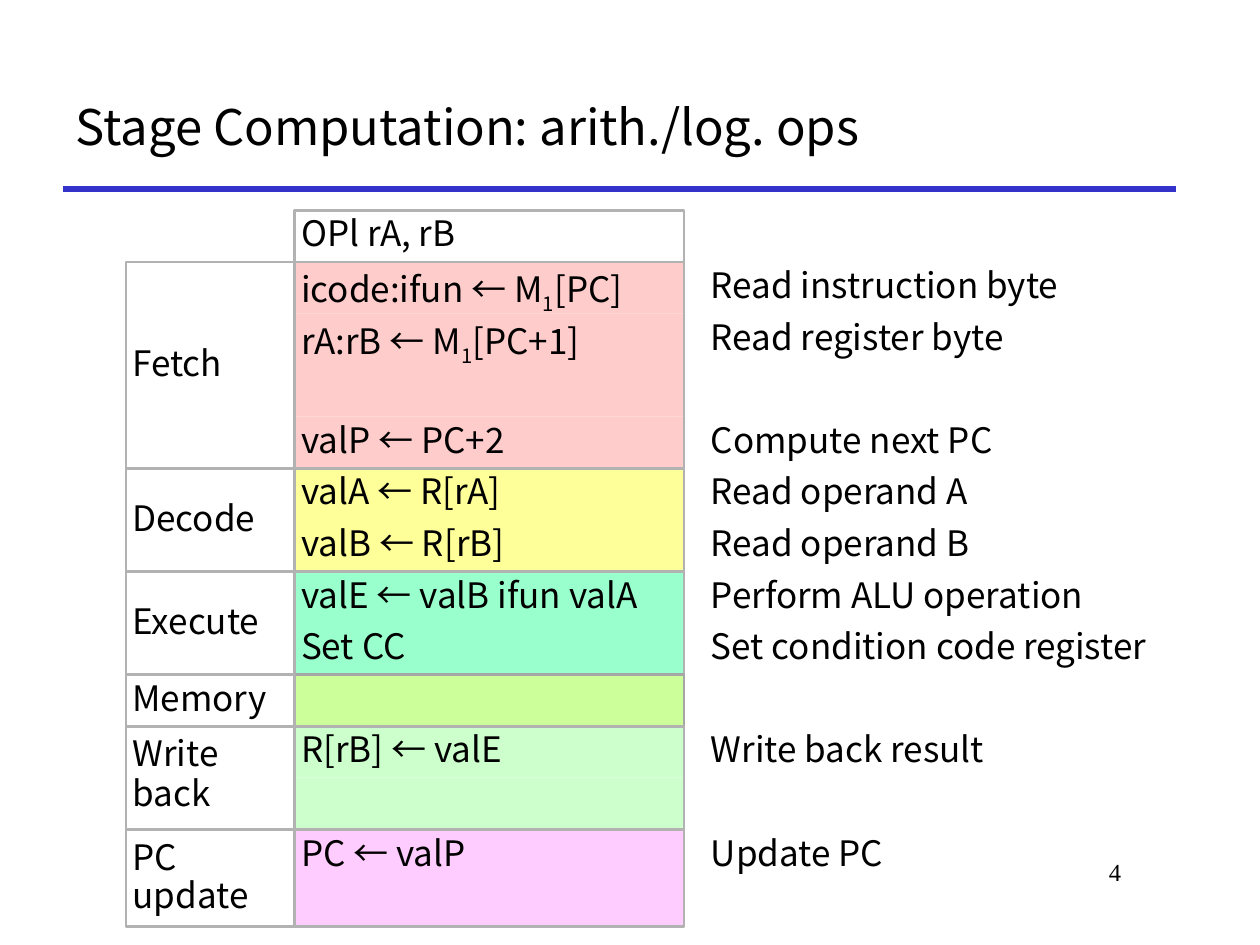
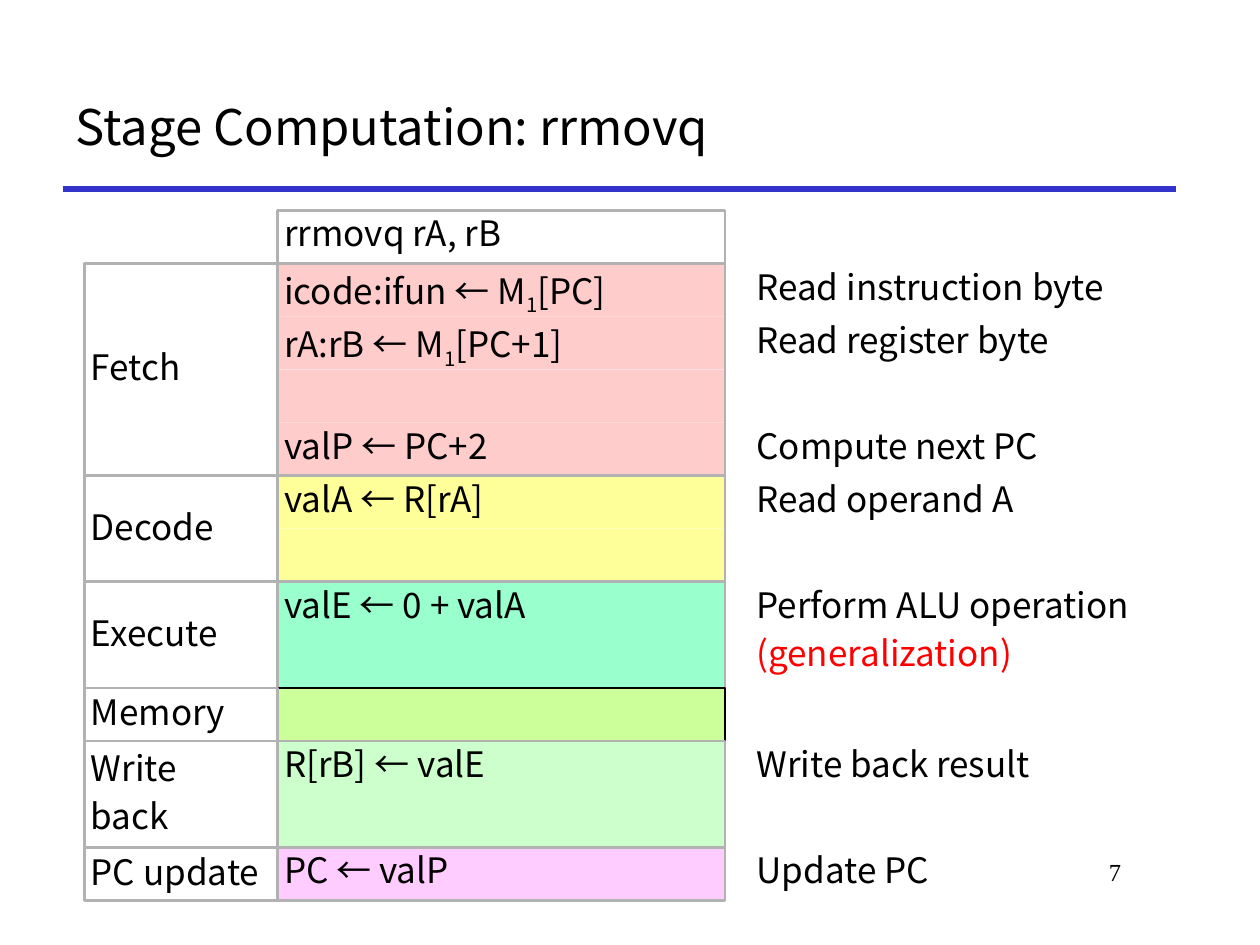
"""Build two slides that tabulate the stage computation of processor instructions."""
from dataclasses import dataclass

from lxml import etree
from pptx import Presentation
from pptx import util as u
from pptx.dml.color import RGBColor
from pptx.enum import shapes, text
from pptx.oxml.ns import qn

SANS = "Noto Sans CJK KR"
SERIF = "Times New Roman"
BLACK, RED, BLUE, GREY = "000000", "FF0000", "3333CC", "B2B2B2"
TITLE_ONLY = 5
TABLE_TOP = 4.24


@dataclass
class Grid:
    """Column and row measures of a stage table, in centimetres."""
    left: float
    label_width: float
    step_width: float
    gap: float
    row: float

    @property
    def step_left(self):
        """Left edge of the computation column."""
        return self.left + self.label_width

    @property
    def note_left(self):
        """Left edge of the explanation column."""
        return self.step_left + self.step_width + self.gap


@dataclass
class Stage:
    """One processor stage; a step or note of None leaves its row empty."""
    name: str
    fill: str
    steps: tuple
    notes: tuple = ()
    border: str = GREY
    height: float = 0
    note_width: float = 0
    label_spacing: float = 0.9


def color(value):
    """Turn a hex string into a colour."""
    return RGBColor.from_string(value)


def style(paragraph, size, face=SANS, ink=BLACK):
    """Set the font of a whole paragraph, arrows included."""
    font = paragraph.font
    font.size, font.name = u.Pt(size), face
    font.color.rgb = color(ink)
    defaults = paragraph._p.pPr.find(qn("a:defRPr"))
    etree.SubElement(defaults, qn("a:ea")).set("typeface", face)


def write(frame, content, spacing=0.9, anchor=text.MSO_ANCHOR.TOP):
    """Fill a table frame with lines; text between bars is subscript, a leading * is red."""
    frame.word_wrap = True
    frame.vertical_anchor = anchor
    frame.margin_left = frame.margin_right = u.Cm(0.13)
    frame.margin_top = frame.margin_bottom = u.Cm(0.13)
    for number, line in enumerate(content.split("\n")):
        paragraph = frame.add_paragraph() if number else frame.paragraphs[0]
        paragraph.alignment = text.PP_ALIGN.LEFT
        paragraph.line_spacing = spacing
        if number:
            paragraph.space_before = u.Pt(6)
        style(paragraph, 20, ink=RED if line.startswith("*") else BLACK)
        for part, words in enumerate(line.lstrip("*").split("|")):
            run = paragraph.add_run()
            run.text = words
            if part % 2:
                run._r.get_or_add_rPr().set("baseline", "-25000")


def cell(slide, box, content=None, fill=None, border=None, **layout):
    """Draw one rectangle of the table."""
    rect = slide.shapes.add_shape(shapes.MSO_SHAPE.RECTANGLE, *map(u.Cm, box))
    rect.shadow.inherit = False
    if fill:
        rect.fill.solid()
        rect.fill.fore_color.rgb = color(fill)
    else:
        rect.fill.background()
    if border:
        rect.line.color.rgb = color(border)
        rect.line.width = u.Pt(1.5)
    else:
        rect.line.fill.background()
    if content:
        write(rect.text_frame, content, **layout)


def draw_stage(slide, grid, top, stage):
    """Draw a stage from the given top and return its bottom."""
    height = stage.height or grid.row * len(stage.steps)
    whole = (grid.step_left, top, grid.step_width, height)
    if len(stage.steps) == 1:
        cell(slide, whole, stage.steps[0], stage.fill, stage.border)
    else:
        for row, step in enumerate(stage.steps):
            strip = (grid.step_left, top + row * grid.row, grid.step_width, grid.row)
            cell(slide, strip, step, stage.fill)
        cell(slide, whole, border=stage.border)
    cell(slide, (grid.left, top, grid.label_width, height), stage.name, border=GREY,
         spacing=stage.label_spacing, anchor=text.MSO_ANCHOR.MIDDLE)
    for row, note in enumerate(stage.notes):
        if note:
            box = (grid.note_left, top + row * grid.row,
                   stage.note_width or grid.step_width, grid.row)
            write(slide.shapes.add_textbox(*map(u.Cm, box)).text_frame, note)
    return top + height


def draw_table(slide, grid, instruction, stages):
    """Draw the instruction heading and its stages below one another."""
    cell(slide, (grid.step_left, TABLE_TOP, grid.step_width, grid.row),
         instruction, border=GREY)
    top = TABLE_TOP + grid.row
    for stage in stages:
        top = draw_stage(slide, grid, top, stage)


def draw_frame(slide, heading, number):
    """Set the title, the rule under it and the page number."""
    title = slide.shapes.title
    title.left, title.top, title.width, title.height = map(u.Cm, (1.27, 1.27, 22.43, 2.54))
    title.text_frame.text = heading
    title.text_frame.vertical_anchor = text.MSO_ANCHOR.MIDDLE
    paragraph = title.text_frame.paragraphs[0]
    paragraph.alignment = text.PP_ALIGN.LEFT
    style(paragraph, 28)

    rule = slide.shapes.add_connector(shapes.MSO_CONNECTOR.STRAIGHT,
                                      *map(u.Cm, (1.27, 3.81, 23.7, 3.81)))
    rule.line.color.rgb = color(BLUE)
    rule.line.width = u.Pt(3)
    etree.SubElement(rule._element.spPr, qn("a:effectLst"))

    page = slide.shapes.add_textbox(*map(u.Cm, (19.25, 17.15, 3.6, 1.27))).text_frame
    page.word_wrap = True
    page.text = number
    page.paragraphs[0].alignment = text.PP_ALIGN.RIGHT
    style(page.paragraphs[0], 14, SERIF)


def add_slide(deck, heading, number, grid, instruction, stages):
    """Add a slide for one instruction."""
    slide = deck.slides.add_slide(deck.slide_layouts[TITLE_ONLY])
    draw_frame(slide, heading, number)
    draw_table(slide, grid, instruction, stages)


FETCH = Stage("Fetch", "FFCCCC",
              ("icode:ifun ← M|1|[PC]", "rA:rB ← M|1|[PC+1]", None, "valP ← PC+2"),
              ("Read instruction byte", "Read register byte", None, "Compute next PC"))


def write_back(spacing):
    """Give the write-back stage with its label's line spacing."""
    return Stage("Write\nback", "CCFFCC", ("R[rB] ← valE", None),
                 ("Write back result",), label_spacing=spacing)


def pc_update(height=0):
    """Give the closing stage, one row high unless told otherwise."""
    return Stage("PC update", "FFCCFF", ("PC ← valP",), ("Update PC",), height=height)


ARITHMETIC = (
    FETCH,
    Stage("Decode", "FFFF99", ("valA ← R[rA]", "valB ← R[rB]"),
          ("Read operand A", "Read operand B")),
    Stage("Execute", "99FFCC", ("valE ← valB ifun valA", "Set CC"),
          ("Perform ALU operation", "Set condition code register"), note_width=9.9),
    Stage("Memory", "CCFF99", (None,), border="A6A6A6"),
    write_back(0.7),
    pc_update(1.96),
)
MOVE = (
    FETCH,
    Stage("Decode", "FFFF99", ("valA ← R[rA]", None), ("Read operand A",)),
    Stage("Execute", "99FFCC", ("valE ← 0 + valA", None),
          ("Perform ALU operation\n*(generalization)",)),
    Stage("Memory", "CCFF99", (None,), border=BLACK),
    write_back(0.9),
    pc_update(),
)


def main():
    """Build and save the deck."""
    deck = Presentation()
    deck.slide_width, deck.slide_height = u.Cm(25.4), u.Cm(19.05)
    add_slide(deck, "Stage Computation: arith./log. ops", "4",
              Grid(2.54, 3.4, 7.85, 0.41, 1.04), "OPl rA, rB", ARITHMETIC)
    add_slide(deck, "Stage Computation: rrmovq", "7",
              Grid(1.7, 3.9, 9.02, 0.5, 1.07), "rrmovq rA, rB", MOVE)
    deck.save("out.pptx")


if __name__ == "__main__":
    main()
